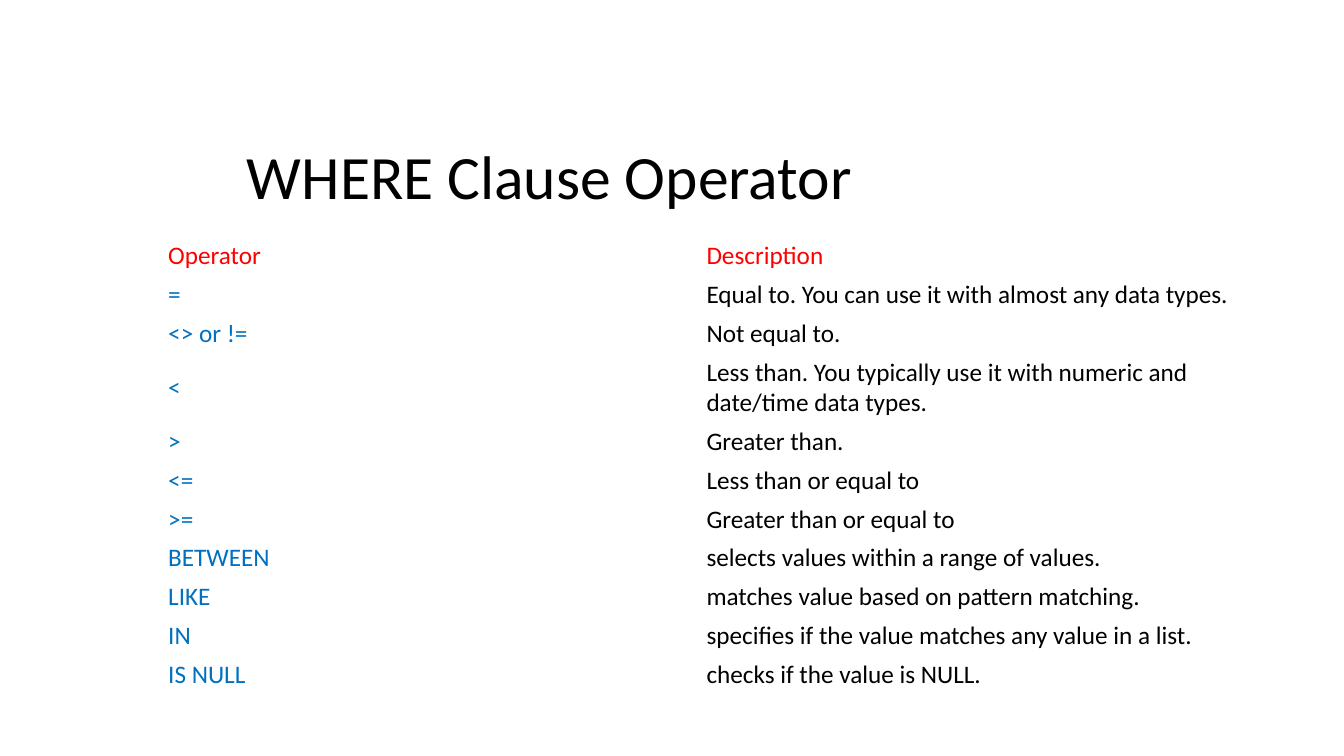
from dataclasses import dataclass

from pptx import Presentation
from pptx.dml import color
from pptx.enum import text
from pptx.util import Cm, Pt


@dataclass(frozen=True)
class Theme:
    font: str = "Calibri"
    title_size: int = 44
    body_size: int = 18
    black: str = "000000"
    header: str = "FF0000"
    operator: str = "0070C0"


@dataclass(frozen=True)
class OperatorRow:
    operator: str
    description: str
    height: float = 0.89


THEME = Theme()
HEADER = OperatorRow("Operator", "Description")
OPERATORS = [
    OperatorRow("=", "Equal to. You can use it with almost any data types."),
    OperatorRow("<> or !=", "Not equal to."),
    OperatorRow("<", "Less than. You typically use it with numeric and "
                     "date/time data types.", 1.55),
    OperatorRow(">", "Greater than."),
    OperatorRow("<=", "Less than or equal to"),
    OperatorRow(">=", "Greater than or equal to"),
    OperatorRow("BETWEEN", "selects values within a range of values."),
    OperatorRow("LIKE", "matches value based on pattern matching."),
    OperatorRow("IN", "specifies if the value matches any value in a list."),
    OperatorRow("IS NULL", "checks if the value is NULL."),
]


def add_run(p, words: str, size: int, rgb: str) -> None:
    r = p.add_run()
    r.text = words
    r.font.name = THEME.font
    r.font.size = Pt(size)
    r.font.color.rgb = color.RGBColor.from_string(rgb)


def place_title(slide, words: str) -> None:
    sp = slide.shapes.title
    sp.left, sp.top, sp.width, sp.height = Cm(5.97), Cm(3.15), Cm(21.89), Cm(2.77)
    tf = sp.text_frame
    tf.word_wrap = True
    tf.auto_size = text.MSO_AUTO_SIZE.NONE
    tf.vertical_anchor = text.MSO_ANCHOR.MIDDLE
    p = tf.paragraphs[0]
    p.alignment = text.PP_ALIGN.LEFT
    p.line_spacing = 0.9
    add_run(p, words, THEME.title_size, THEME.black)


def fill_cell(cell, words: str, rgb: str) -> None:
    cell.fill.background()
    cell.vertical_anchor = text.MSO_ANCHOR.MIDDLE
    cell.margin_left = cell.margin_right = Cm(0.18)
    cell.margin_top = cell.margin_bottom = Cm(0.1)
    add_run(cell.text_frame.paragraphs[0], words, THEME.body_size, rgb)


def add_operator_table(slide, rows: list[OperatorRow]) -> None:
    height = Cm(sum(row.height for row in rows))
    table = slide.shapes.add_table(
        len(rows), 2, Cm(4.06), Cm(5.97), Cm(27.13), height).table
    table.first_row = table.horz_banding = False
    for i, row in enumerate(rows):
        table.rows[i].height = Cm(row.height)
        is_header = row is HEADER
        fill_cell(table.cell(i, 0), row.operator,
                  THEME.header if is_header else THEME.operator)
        fill_cell(table.cell(i, 1), row.description,
                  THEME.header if is_header else THEME.black)


def main() -> None:
    prs = Presentation()
    prs.slide_width, prs.slide_height = Cm(33.87), Cm(19.05)
    slide = prs.slides.add_slide(prs.slide_layouts.get_by_name("Title Only"))
    place_title(slide, "WHERE Clause Operator")
    add_operator_table(slide, [HEADER, *OPERATORS])
    prs.save("out.pptx")


if __name__ == "__main__":
    main()
